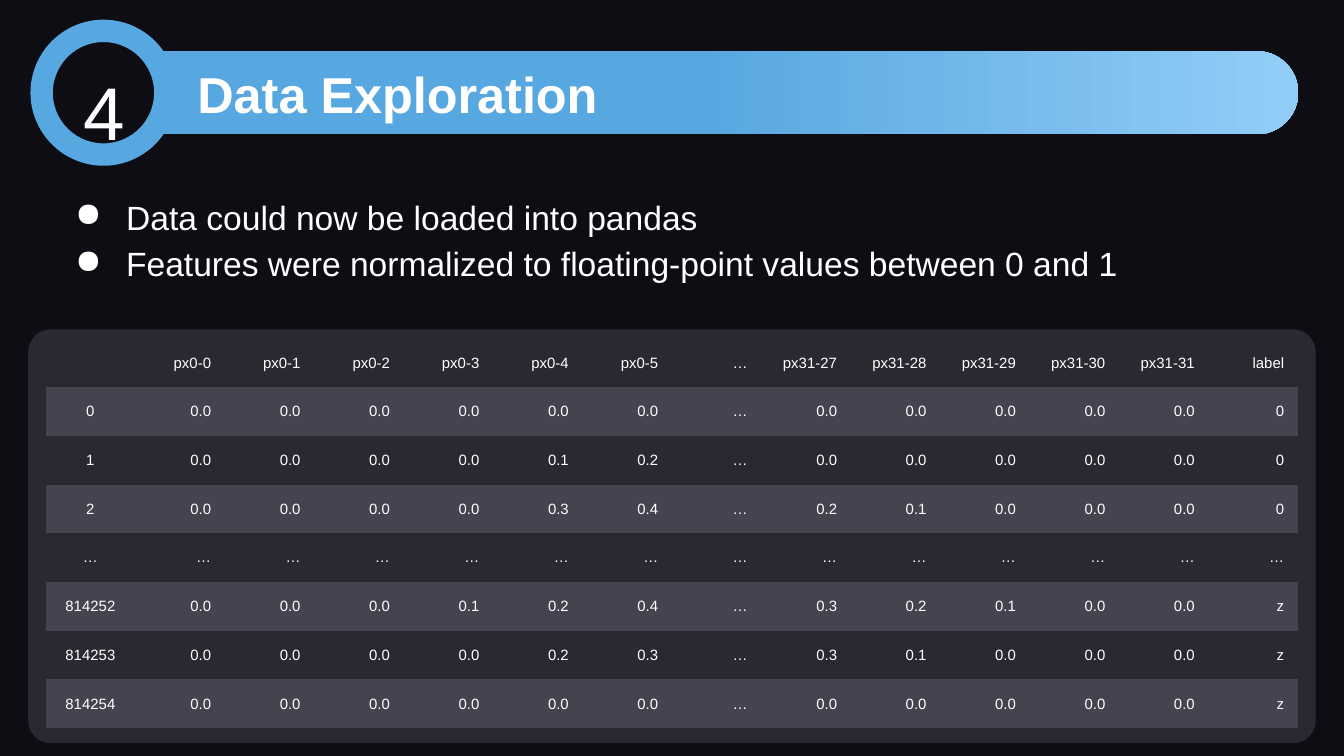
from lxml import etree
from pptx import Presentation
from pptx import util as u
from pptx.dml import color
from pptx.enum import shapes, text
from pptx.oxml import ns

COLS, ROWS = 100, 56.25
CELL = u.Inches(0.1)
DARK, PANEL, BAND = "0E0D14", "2A2932", "44434F"
BLUE, PALE, WHITE = "57A7E0", "91CDF7", "FFFFFF"
PLAIN = "{2D5ABB26-0587-4C30-8999-92F81FD0307C}"
POINTS = [
    "Data could now be loaded into pandas",
    "Features were normalized to floating-point values between 0 and 1",
]
DATA = [
    ["", *(f"px0-{n}" for n in range(6)), "…", *(f"px31-{n}" for n in range(27, 32)), "label"],
    "0 0.0 0.0 0.0 0.0 0.0 0.0 … 0.0 0.0 0.0 0.0 0.0 0".split(),
    "1 0.0 0.0 0.0 0.0 0.1 0.2 … 0.0 0.0 0.0 0.0 0.0 0".split(),
    "2 0.0 0.0 0.0 0.0 0.3 0.4 … 0.2 0.1 0.0 0.0 0.0 0".split(),
    ["…"] * 14,
    "814252 0.0 0.0 0.0 0.1 0.2 0.4 … 0.3 0.2 0.1 0.0 0.0 z".split(),
    "814253 0.0 0.0 0.0 0.0 0.2 0.3 … 0.3 0.1 0.0 0.0 0.0 z".split(),
    "814254 0.0 0.0 0.0 0.0 0.0 0.0 … 0.0 0.0 0.0 0.0 0.0 z".split(),
]


def grid(*spans):
    """Turn counts of grid cells into lengths."""
    return [round(span * CELL) for span in spans]


def paint(fill, tone):
    """Fill with one solid colour given as hex."""
    fill.solid()
    fill.fore_color.rgb = color.RGBColor.from_string(tone)


def style(para, size, align=text.PP_ALIGN.LEFT, bold=False):
    """Set the font and alignment of a paragraph."""
    para.alignment = align
    para.font.name, para.font.size, para.font.bold = "Arial", u.Pt(size), bold
    para.font.color.rgb = color.RGBColor.from_string(WHITE)


def add_form(slide, kind, box, tone, bend=None):
    """Add a flat preset shape without an outline."""
    form = slide.shapes.add_shape(kind, *grid(*box))
    form.shadow.inherit = False
    form.line.fill.background()
    paint(form.fill, tone)
    if bend is not None:
        form.adjustments[0] = bend
    return form


def add_text(slide, box, lines, size, anchor, **look):
    """Add a wrapped text box and return its paragraphs."""
    frame = slide.shapes.add_textbox(*grid(*box)).text_frame
    frame.word_wrap, frame.vertical_anchor = True, anchor
    frame.margin_left = frame.margin_right = frame.margin_top = frame.margin_bottom = CELL
    frame.text = "\n".join(lines)
    for para in frame.paragraphs:
        style(para, size, **look)
    return frame.paragraphs


def add_bullet(para):
    """Give a paragraph a round bullet and a hanging indent."""
    props = para._p.get_or_add_pPr()
    props.set("marL", str(u.Inches(0.5)))
    props.set("indent", str(-u.Inches(0.38)))
    tint = etree.SubElement(props, ns.qn("a:buClr"))
    etree.SubElement(tint, ns.qn("a:srgbClr"), val=WHITE)
    etree.SubElement(props, ns.qn("a:buChar"), char="●")
    para.line_spacing = 1.15


def add_shade(run):
    """Put a hard black shadow behind a run."""
    run.font.color.rgb = color.RGBColor.from_string(WHITE)
    props = run.font._element
    effect = etree.Element(ns.qn("a:effectLst"))
    props.find(ns.qn("a:solidFill")).addnext(effect)
    shade = etree.SubElement(effect, ns.qn("a:outerShdw"), dist="28575", dir="2700000")
    etree.SubElement(shade, ns.qn("a:srgbClr"), val="000000")


def add_head(slide):
    """Add the fading title bar and the number ring."""
    bar = add_form(slide, shapes.MSO_SHAPE.ROUNDED_RECTANGLE, (7, 3.8, 89.6, 6.2), BLUE, 0.5)
    bar.fill.gradient()
    bar.fill.gradient_angle = 0
    for stop, place, tone in zip(bar.fill.gradient_stops, (0.5, 1), (BLUE, PALE)):
        stop.position = place
        stop.color.rgb = color.RGBColor.from_string(tone)
    ring = add_form(slide, shapes.MSO_SHAPE.OVAL, (3.1, 2.3, 9.2, 9.2), DARK)
    paint(ring.line.fill, BLUE)
    ring.line.width = u.Pt(12)


def add_grid(slide, box, data):
    """Add the banded table of samples."""
    frame = slide.shapes.add_table(len(data), len(data[0]), *grid(*box))
    table = frame.table
    table.first_row = table.horz_banding = False
    table._tbl.tblPr.find(ns.qn("a:tableStyleId")).text = PLAIN
    for row, words in enumerate(data):
        for col, word in enumerate(words):
            cell = table.cell(row, col)
            cell.text = word
            cell.vertical_anchor = text.MSO_ANCHOR.MIDDLE
            cell.margin_left = cell.margin_right = cell.margin_top = cell.margin_bottom = CELL
            paint(cell.fill, BAND if row % 2 else PANEL)
            align = text.PP_ALIGN.RIGHT if col else text.PP_ALIGN.CENTER
            style(cell.text_frame.paragraphs[0], 8, align)


def main():
    """Build the slide and save it."""
    deck = Presentation()
    deck.slide_width, deck.slide_height = grid(COLS, ROWS)
    slide = deck.slides.add_slide(deck.slide_layouts[6])
    paint(slide.background.fill, DARK)
    add_head(slide)
    add_form(slide, shapes.MSO_SHAPE.ROUNDED_RECTANGLE, (2.1, 24.5, 95.8, 30.8), PANEL, 0.055)
    top, mid = text.MSO_ANCHOR.TOP, text.MSO_ANCHOR.MIDDLE
    title = add_text(slide, (13.7, 3.5, 68, 6.9), ["Data Exploration"], 27, mid, bold=True)
    add_shade(title[0].runs[0])
    for para in add_text(slide, (3.4, 13.2, 93.2, 37.4), POINTS, 18, top):
        add_bullet(para)
    count = add_text(slide, (5.2, 5.6, 5.1, 4.2), ["4"], 40, mid, align=text.PP_ALIGN.CENTER)
    count[0].line_spacing, count[0].space_after = 1.15, u.Pt(12)
    add_grid(slide, (3.4, 25.2, 93.2, 29), DATA)
    deck.save("out.pptx")


if __name__ == "__main__":
    main()
